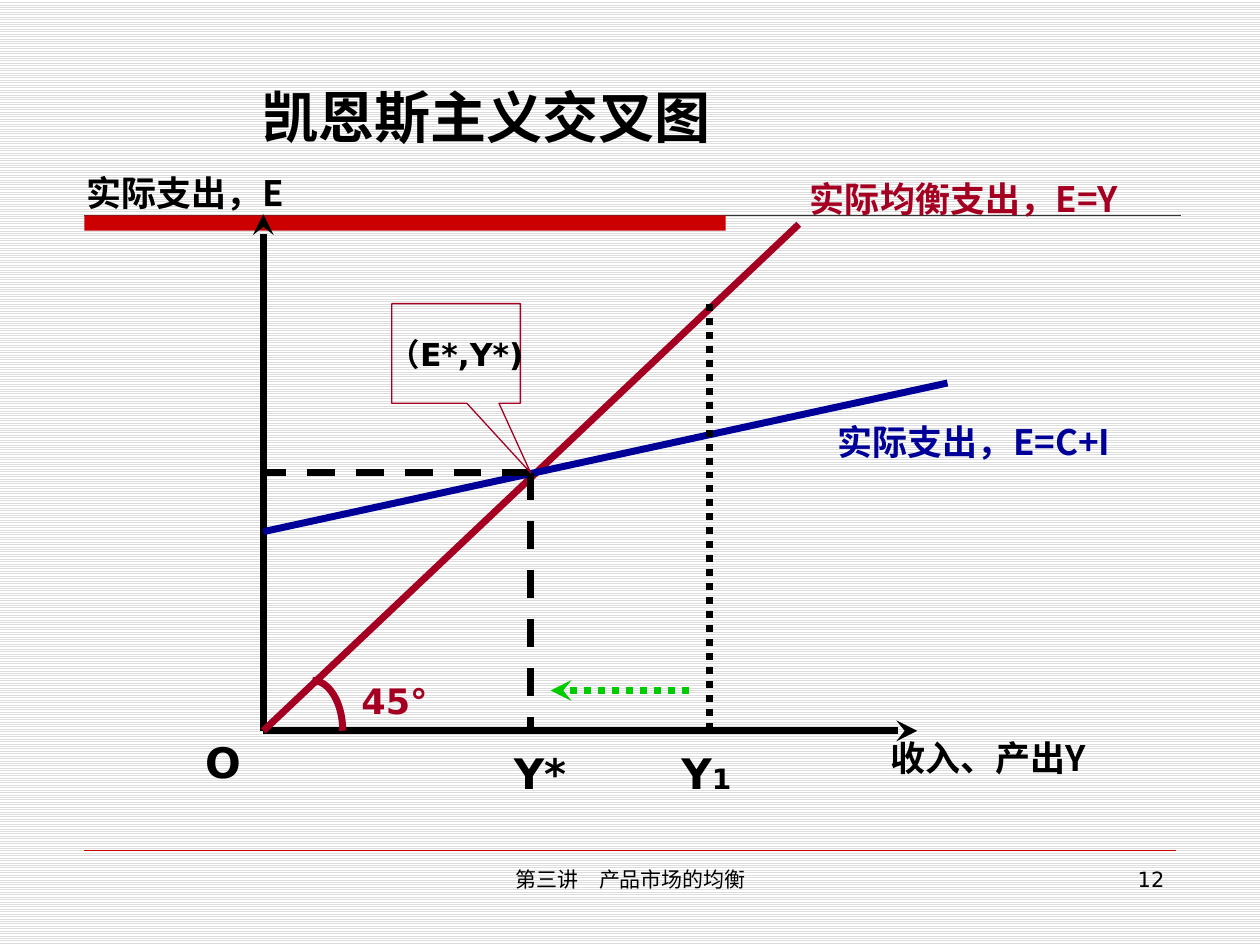
from dataclasses import dataclass
from lxml.etree import SubElement as Sub
from pptx import Presentation
from pptx.dml.color import RGBColor
from pptx.enum.dml import MSO_LINE as Dash, MSO_PATTERN as Pat
from pptx.enum.shapes import MSO_CONNECTOR as Conn, MSO_SHAPE as Shape
from pptx.enum.text import MSO_ANCHOR as Anchor, PP_ALIGN as Align
from pptx.oxml.ns import qn
from pptx.slide import Slide
from pptx.util import Inches, Pt

BLACK = RGBColor(0, 0, 0)
WHITE = RGBColor(255, 255, 255)
GRAY = RGBColor(0xDD, 0xDD, 0xDD)
DARK = RGBColor(0x33, 0x33, 0x33)
RED = RGBColor(0xCC, 0, 0)
WINE = RGBColor(0xA5, 0, 0x21)
BLUE = RGBColor(0, 0, 0x99)
GREEN = RGBColor(0, 0xCC, 0)
HAN = "Noto Sans CJK SC"
SANS = "DejaVu Sans"


def write(para, text, size=20, color=BLACK, face=HAN, bold=True):
    run = para.add_run()
    run.text = text
    font = run.font
    font.size, font.bold, font.name = Pt(size), bold, face
    font.color.rgb = color
    Sub(font._element, qn("a:ea")).set("typeface", HAN)


@dataclass
class Chart:
    """Draws the parts of the cross diagram on one slide."""
    slide: Slide
    width: float = 4

    def back(self):
        fill = self.slide.background.fill
        fill.patterned()
        fill.pattern = Pat.LIGHT_HORIZONTAL
        fill.fore_color.rgb, fill.back_color.rgb = GRAY, WHITE

    def line(self, start, end, color=BLACK, width=None, dash=None, arrow=False):
        link = self.slide.shapes.add_connector(
            Conn.STRAIGHT, *map(Inches, start + end))
        Sub(link._element.spPr, qn("a:effectLst"))
        link.line.color.rgb = color
        link.line.width = Pt(width or self.width)
        if dash:
            link.line.dash_style = dash
        if arrow:
            Sub(link.line._get_or_add_ln(), qn("a:tailEnd")).set("type", "stealth")

    def shape(self, kind, box, fill=None, color=None, width=None):
        item = self.slide.shapes.add_shape(kind, *map(Inches, box))
        item.shadow.inherit = False
        if fill:
            item.fill.solid()
            item.fill.fore_color.rgb = fill
        else:
            item.fill.background()
        if color:
            item.line.color.rgb = color
            item.line.width = Pt(width or self.width)
        else:
            item.line.fill.background()
        return item

    def label(self, box, text, align=Align.LEFT, anchor=Anchor.TOP, **style):
        frame = self.slide.shapes.add_textbox(*map(Inches, box)).text_frame
        frame.word_wrap = True
        frame.vertical_anchor = anchor
        para = frame.paragraphs[0]
        para.alignment = align
        write(para, text, **style)
        return para

    def note(self, box, tip, text, **style):
        item = self.shape(Shape.RECTANGULAR_CALLOUT, box, color=WINE, width=0.75)
        item.adjustments[0], item.adjustments[1] = tip
        frame = item.text_frame
        frame.word_wrap = False
        frame.vertical_anchor = Anchor.MIDDLE
        para = frame.paragraphs[0]
        para.alignment = Align.CENTER
        write(para, text, **style)


def main():
    deck = Presentation()
    deck.slide_width, deck.slide_height = Inches(10), Inches(7.5)
    chart = Chart(deck.slides.add_slide(deck.slide_layouts[6]))
    zero, cross = (2.09, 5.8), (4.21, 3.75)
    small = dict(size=12, face=SANS, bold=False)
    mark = dict(size=24, face=SANS)

    chart.back()
    chart.line((0.67, 1.71), (9.37, 1.71), DARK, 0.75)
    chart.shape(Shape.RECTANGLE, (0.67, 1.71, 5.09, 0.12), fill=RED)
    chart.line((0.67, 6.75), (9.33, 6.75), RED, 0.25)
    chart.label((0.59, 0.41, 6.54, 0.83), "凯恩斯主义交叉图",
                Align.CENTER, Anchor.BOTTOM, size=32)

    chart.line(zero, (zero[0], 1.7), arrow=True)
    chart.line(zero, (7.28, zero[1]), arrow=True)
    chart.line(zero, (6.34, 1.78), WINE)
    chart.shape(Shape.ARC, (2.24, 5.4, 0.48, 0.8), color=WINE)
    chart.line((zero[0], 4.22), (7.52, 3.04), BLUE)
    for end in ((cross[0], zero[1]), (zero[0], cross[1])):
        chart.line(cross, end, dash=Dash.DASH)
    chart.note((3.11, 2.41, 1.02, 0.79), (0.58, 1.2), "（E*,Y*)",
               size=18, face=SANS)
    chart.line((5.63, 2.41), (5.63, zero[1]), dash=Dash.ROUND_DOT)
    chart.line((5.47, 5.48), (4.37, 5.48), GREEN, dash=Dash.ROUND_DOT, arrow=True)

    chart.label((6.33, 1.36, 2.99, 0.44), "实际均衡支出，E=Y", color=WINE)
    chart.label((6.55, 3.29, 2.39, 0.44), "实际支出，E=C+I", color=BLUE)
    chart.label((0.59, 1.31, 1.89, 0.43), "实际支出，E")
    chart.label((6.97, 5.8, 1.89, 0.44), "收入、产出Y")
    chart.label((2.77, 5.34, 0.89, 0.43), "45°", color=WINE, face=SANS)
    chart.label((1.53, 5.8, 0.47, 0.5), "O", **mark)
    chart.label((3.98, 5.88, 0.76, 0.5), "Y*", **mark)
    para = chart.label((5.31, 5.88, 0.63, 0.5), "Y", **mark)
    write(para, "1", size=16, face=SANS)

    chart.label((3.42, 6.83, 3.17, 0.52), "第三讲　产品市场的均衡",
                Align.CENTER, **small)
    chart.label((7.17, 6.83, 2.17, 0.52), "12", Align.RIGHT, **small)
    deck.save("out.pptx")


if __name__ == "__main__":
    main()
